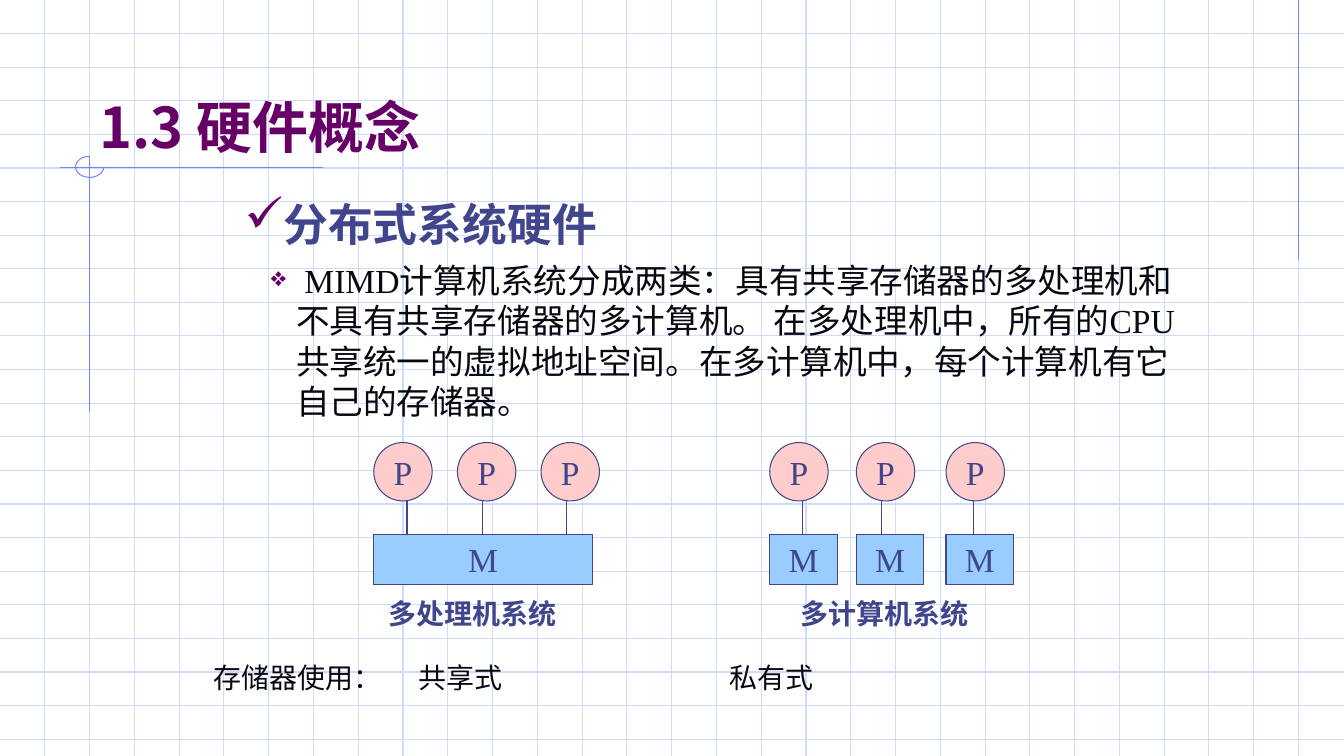
import pptx
import pptx.dml.color
import pptx.enum.shapes
import pptx.enum.text
import pptx.oxml.ns
import pptx.util
from lxml import etree

Inches = pptx.util.Inches
Pt = pptx.util.Pt
SHAPES = pptx.enum.shapes.MSO_SHAPE

PURPLE, INDIGO, INK = "660066", "40458C", "080910"
GRID, ACCENT = "CFDBFD", "6F89F7"
PINK, SKY = "FFCCCC", "99CCFF"
CJK, SERIF = "Noto Sans CJK SC", "Times New Roman"

WIDTH, HEIGHT = 13.34, 7.5
GRID_ROWS, ROW_STEP = 22, 1 / 3
GRID_COLUMNS, COLUMN_STEP = 29, 4 / 9
ACCENT_LINES = [
    (12.89, 0, 12.89, 2.58),
    (3.21, 1.66, 0.6, 1.66),
    (0.89, 1.55, 0.89, 4.09),
]

# text, (left, top, width, height), size, latin font, colour, bold, bullet
LABELS = [
    ("1.3 硬件概念", (0.89, 0.87, 11.33, 0.8), 40, "Noto Sans CJK JP", PURPLE, True, None),
    ("分布式系统硬件", (2.33, 1.9, 8.74, 0.6), 32, "Karla", INDIGO, True, ("✓", 0.38, 0.38, 110)),
    (" MIMD计算机系统分成两类：具有共享存储器的多处理机和不具有共享存储器的多计算机。 "
     "在多处理机中，所有的CPU共享统一的虚拟地址空间。在多计算机中，每个计算机有它自己的存储器。",
     (2.34, 2.53, 9.69, 1.7), 24, SERIF, INK, False, ("❖", 0.5, 0.25, 80)),
    ("多处理机系统", (3.76, 5.87, 2.28, 0.43), 20, "Montserrat", INDIGO, True, None),
    ("多计算机系统", (7.85, 5.87, 2.28, 0.43), 20, "Montserrat", INDIGO, True, None),
    ("存储器使用：", (2.02, 6.5, 2, 0.43), 20, "Montserrat", INK, False, None),
    ("共享式", (4.06, 6.5, 1.5, 0.43), 20, "Montserrat", INK, False, None),
    ("私有式", (7.14, 6.5, 1.5, 0.43), 20, "Montserrat", INK, False, None),
]

CIRCLE, CIRCLE_TOP = 0.58, 4.39
STEM_TOP, MEMORY_TOP, MEMORY_HEIGHT = 4.96, 5.3, 0.5
PROCESSORS = [(3.71, 4.04), (4.54, 4.79), (5.37, 5.62),
              (7.64, 7.97), (8.5, 8.75), (9.39, 9.66)]
MEMORIES = [(3.71, 2.17), (7.64, 0.67), (8.5, 0.67), (9.39, 0.67)]


def color(value):
    return pptx.dml.color.RGBColor.from_string(value)


def add_line(page, x1, y1, x2, y2, stroke):
    line = page.shapes.add_connector(
        pptx.enum.shapes.MSO_CONNECTOR.STRAIGHT,
        Inches(x1), Inches(y1), Inches(x2), Inches(y2))
    line.line.color.rgb = color(stroke)
    line.line.width = Pt(0.75)
    properties = line._element.spPr
    etree.SubElement(properties, pptx.oxml.ns.qn("a:effectLst"))


def add_outline(page, kind, place, stroke, fill=None):
    shape = page.shapes.add_shape(kind, *map(Inches, place))
    shape.shadow.inherit = False
    shape.line.color.rgb = color(stroke)
    shape.line.width = Pt(0.75)
    if fill:
        shape.fill.solid()
        shape.fill.fore_color.rgb = color(fill)
    else:
        shape.fill.background()
    return shape


def style_text(para, size, font, tint, bold=False):
    for span in para.runs:
        span.font.size = Pt(size)
        span.font.name = font
        span.font.bold = bold
        span.font.color.rgb = color(tint)
        east = etree.SubElement(span.font._element, pptx.oxml.ns.qn("a:ea"))
        east.set("typeface", CJK)


def add_bullet(para, symbol, margin, hang, percent):
    properties = para._p.get_or_add_pPr()
    properties.set("marL", str(Inches(margin)))
    properties.set("indent", str(-Inches(hang)))
    tint = etree.SubElement(properties, pptx.oxml.ns.qn("a:buClr"))
    etree.SubElement(tint, pptx.oxml.ns.qn("a:srgbClr")).set("val", PURPLE)
    scale = etree.SubElement(properties, pptx.oxml.ns.qn("a:buSzPct"))
    scale.set("val", str(percent * 1000))
    etree.SubElement(properties, pptx.oxml.ns.qn("a:buChar")).set("char", symbol)


def add_label(page, text, place, size, font, tint, bold, bullet):
    box = page.shapes.add_textbox(*map(Inches, place))
    box.text_frame.word_wrap = True
    box.text_frame.text = text
    para = box.text_frame.paragraphs[0]
    para.line_spacing = Pt(size * 1.2)
    style_text(para, size, font, tint, bold)
    if bullet:
        add_bullet(para, *bullet)


def add_node(page, kind, place, fill, letter):
    shape = add_outline(page, kind, place, INDIGO, fill)
    frame = shape.text_frame
    frame.text = letter
    frame.word_wrap = False
    frame.vertical_anchor = pptx.enum.text.MSO_ANCHOR.MIDDLE
    para = frame.paragraphs[0]
    para.alignment = pptx.enum.text.PP_ALIGN.CENTER
    style_text(para, 24, SERIF, INDIGO)


def add_background(page):
    for row in range(1, GRID_ROWS + 1):
        add_line(page, 0, row * ROW_STEP, WIDTH, row * ROW_STEP, GRID)
    for column in range(1, GRID_COLUMNS + 1):
        add_line(page, column * COLUMN_STEP, 0, column * COLUMN_STEP, HEIGHT, GRID)
    for ends in ACCENT_LINES:
        add_line(page, *ends, ACCENT)
    arc = add_outline(page, SHAPES.ARC, (0.75, 1.55, 0.28, 0.21), ACCENT)
    arc.adjustments[0] = 0
    arc.adjustments[1] = 162


def main():
    """Build the slide on multiprocessor and multicomputer hardware."""
    deck = pptx.Presentation()
    deck.slide_width, deck.slide_height = Inches(WIDTH), Inches(HEIGHT)
    page = deck.slides.add_slide(deck.slide_layouts[6])
    add_background(page)
    for label in LABELS:
        add_label(page, *label)
    for left, stem in PROCESSORS:
        add_node(page, SHAPES.OVAL, (left, CIRCLE_TOP, CIRCLE, CIRCLE), PINK, "P")
        add_line(page, stem, STEM_TOP, stem, MEMORY_TOP, INDIGO)
    for left, width in MEMORIES:
        add_node(page, SHAPES.RECTANGLE, (left, MEMORY_TOP, width, MEMORY_HEIGHT), SKY, "M")
    deck.save("out.pptx")


if __name__ == "__main__":
    main()
